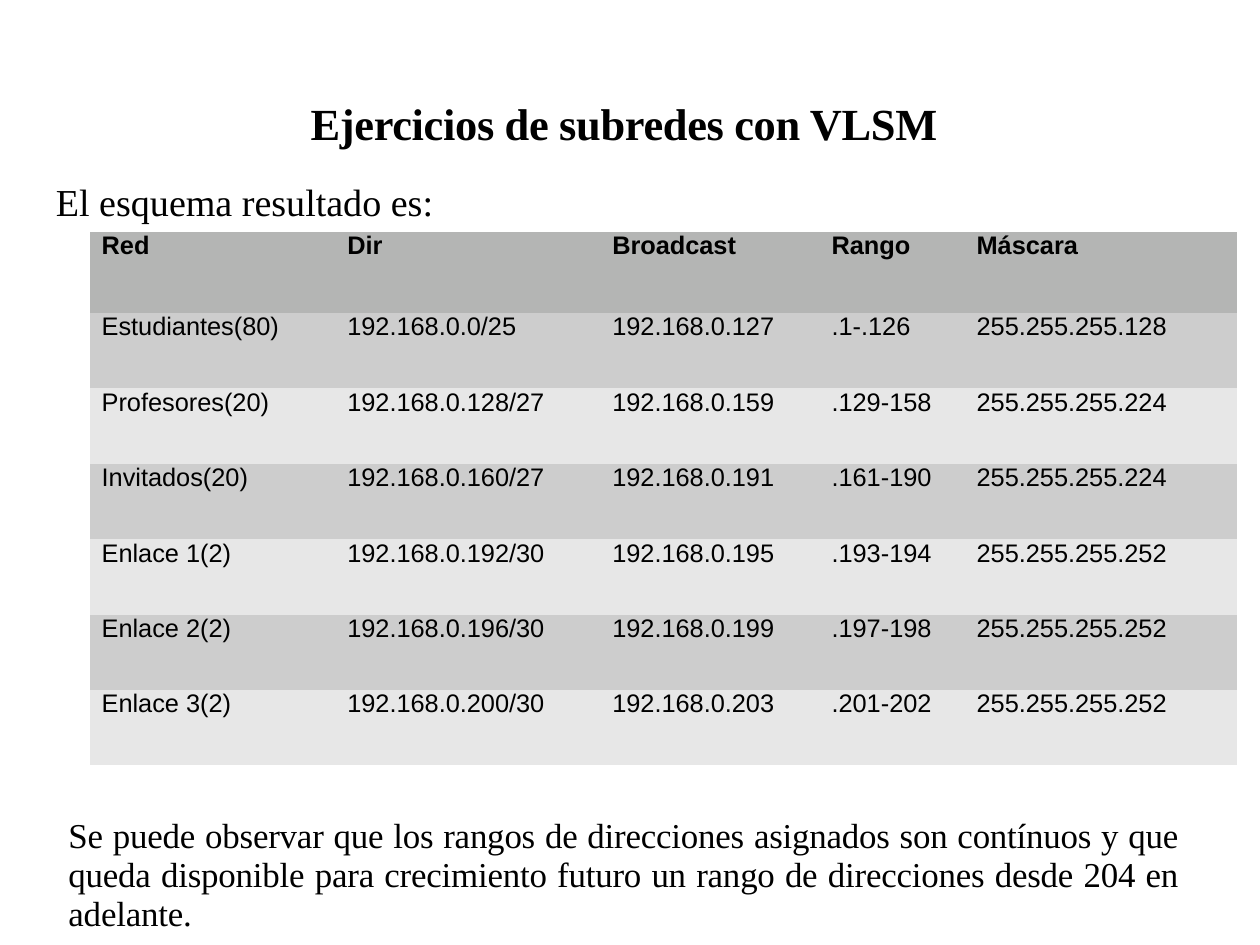
from dataclasses import dataclass
from typing import Any

from pptx import Presentation
from pptx.dml.color import RGBColor
from pptx.enum.text import MSO_ANCHOR, MSO_AUTO_SIZE, PP_ALIGN
from pptx.util import Pt

TOP = MSO_ANCHOR.TOP
GROW = MSO_AUTO_SIZE.SHAPE_TO_FIT_TEXT
LEFT, JUSTIFY = PP_ALIGN.LEFT, PP_ALIGN.JUSTIFY

COLOURS = {"text": "000000", "header": "B4B5B4", "odd": "CDCDCD", "even": "E7E7E7"}
SERIF, SANS = "Times New Roman", "Arial"
NO_STYLE_NO_GRID = "{2D5ABB26-0587-4C30-8999-92F81FD0307C}"
TITLE_ONLY = 5


@dataclass(frozen=True)
class Passage:
    text: str
    left: float
    top: float
    width: float
    height: float
    size: float
    line_spacing: Any
    indent: float = 0.72
    bold: bool = False
    alignment: Any = LEFT
    tracking: float = 0


@dataclass(frozen=True)
class Column:
    heading: str
    width: float
    indent: float


TITLE = Passage("Ejercicios de subredes con VLSM", 77.76, 60.48, 637.92, 30.24,
                28, Pt(33.5), indent=118.08, bold=True, tracking=-0.2)
INTRO = Passage("El esquema resultado es:", 34.56, 112.32, 239.76, 23.76,
                24, Pt(28.7))
CONCLUSION = Passage(
    "Se puede observar que los rangos de direcciones asignados son contínuos y que "
    "queda disponible para crecimiento futuro un rango de direcciones desde 204 en "
    "adelante.",
    42.48, 514.8, 700.56, 72.72, 22, 0.93, alignment=JUSTIFY, tracking=-0.1)

COLUMNS = [
    Column("Red", 140.4, 7.2),
    Column("Dir", 167.04, 21.6),
    Column("Broadcast", 141.84, 21.6),
    Column("Rango", 95.04, 18),
    Column("Máscara", 178.56, 14.4),
]
SUBNETS = [
    ("Estudiantes(80)", "192.168.0.0/25", "192.168.0.127", ".1-.126", "255.255.255.128"),
    ("Profesores(20)", "192.168.0.128/27", "192.168.0.159", ".129-158", "255.255.255.224"),
    ("Invitados(20)", "192.168.0.160/27", "192.168.0.191", ".161-190", "255.255.255.224"),
    ("Enlace 1(2)", "192.168.0.192/30", "192.168.0.195", ".193-194", "255.255.255.252"),
    ("Enlace 2(2)", "192.168.0.196/30", "192.168.0.199", ".197-198", "255.255.255.252"),
    ("Enlace 3(2)", "192.168.0.200/30", "192.168.0.203", ".201-202", "255.255.255.252"),
]
TABLE_LEFT, TABLE_TOP = 56.88, 146.16
HEADER_HEIGHT, ROW_HEIGHT = 51.12, 47.52


def apply(target: Any, formats: dict[str, Any]) -> None:
    for attribute, value in formats.items():
        setattr(target, attribute, value)


def margins(left: float) -> dict[str, Any]:
    return {"margin_left": Pt(left), "margin_right": 0, "margin_top": 0, "margin_bottom": 0}


def write(paragraph: Any, text: str, font: str, size: float, bold: bool,
          tracking: float = 0) -> None:
    run = paragraph.add_run()
    run.text = text
    apply(run.font, {"name": font, "size": Pt(size), "bold": bold})
    run.font.color.rgb = RGBColor.from_string(COLOURS["text"])
    if tracking:
        run.font._element.set("spc", str(round(tracking * 100)))


def fill_passage(shape: Any, passage: Passage) -> None:
    apply(shape, {"left": Pt(passage.left), "top": Pt(passage.top),
                  "width": Pt(passage.width), "height": Pt(passage.height)})
    frame = shape.text_frame
    apply(frame, {**margins(passage.indent), "word_wrap": True,
                  "auto_size": GROW, "vertical_anchor": TOP})
    paragraph = frame.paragraphs[0]
    apply(paragraph, {"alignment": passage.alignment, "line_spacing": passage.line_spacing,
                      "space_before": Pt(0), "space_after": Pt(0)})
    write(paragraph, passage.text, SERIF, passage.size, passage.bold, passage.tracking)


def add_subnet_table(slide: Any) -> None:
    rows = [tuple(column.heading for column in COLUMNS), *SUBNETS]
    width = sum(column.width for column in COLUMNS)
    height = HEADER_HEIGHT + ROW_HEIGHT * len(SUBNETS)
    table = slide.shapes.add_table(len(rows), len(COLUMNS), Pt(TABLE_LEFT), Pt(TABLE_TOP),
                                   Pt(width), Pt(height)).table
    apply(table, {"first_row": False, "horz_banding": False})
    table._tbl.tblPr[0].text = NO_STYLE_NO_GRID

    for index, column in enumerate(COLUMNS):
        table.columns[index].width = Pt(column.width)
    for row, values in enumerate(rows):
        is_header = row == 0
        table.rows[row].height = Pt(HEADER_HEIGHT if is_header else ROW_HEIGHT)
        band = "header" if is_header else "odd" if row % 2 else "even"
        for index, (column, value) in enumerate(zip(COLUMNS, values)):
            cell = table.cell(row, index)
            apply(cell, {**margins(column.indent), "vertical_anchor": TOP})
            cell.fill.solid()
            cell.fill.fore_color.rgb = RGBColor.from_string(COLOURS[band])
            write(cell.text_frame.paragraphs[0], value, SANS, 16, is_header)


def main() -> None:
    presentation = Presentation()
    apply(presentation, {"slide_width": Pt(794.16), "slide_height": Pt(595.44)})
    slide = presentation.slides.add_slide(presentation.slide_layouts[TITLE_ONLY])
    fill_passage(slide.shapes.title, TITLE)
    for passage in (INTRO, CONCLUSION):
        fill_passage(slide.shapes.add_textbox(0, 0, 0, 0), passage)
    add_subnet_table(slide)
    presentation.save("out.pptx")


if __name__ == "__main__":
    main()
